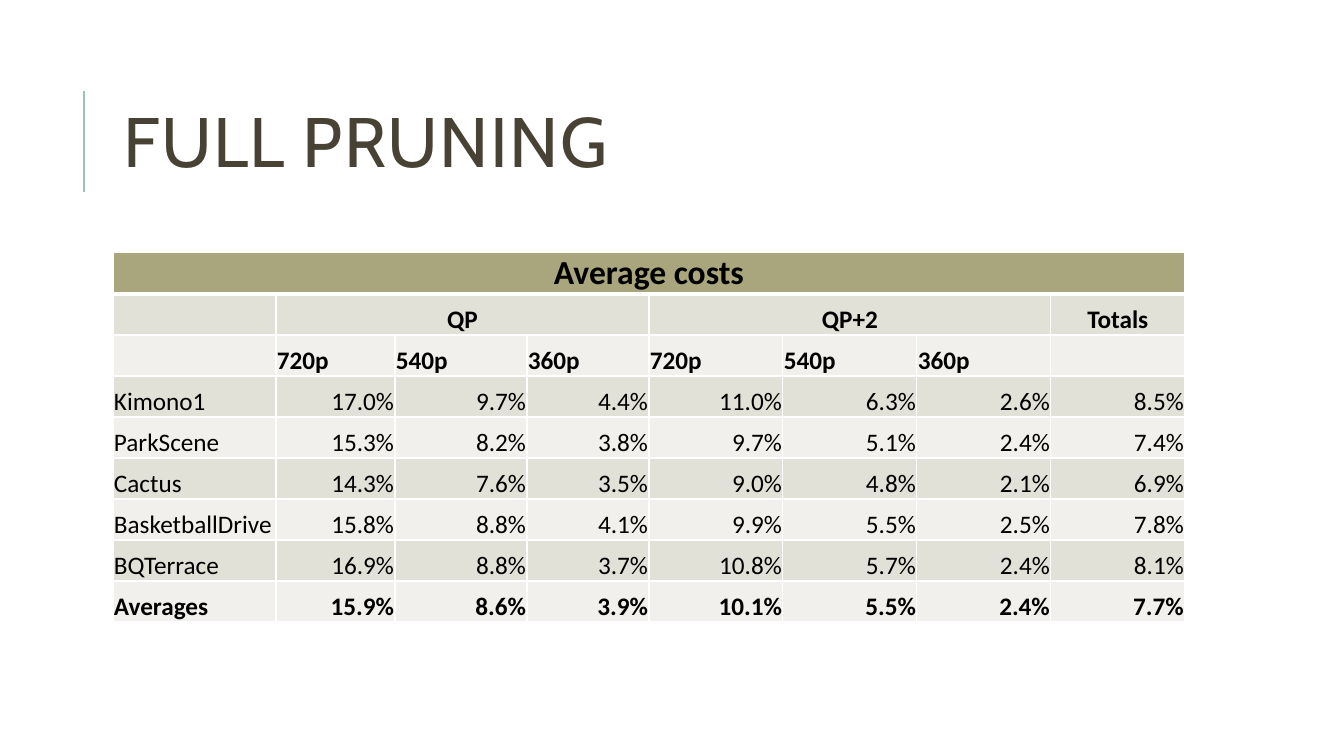
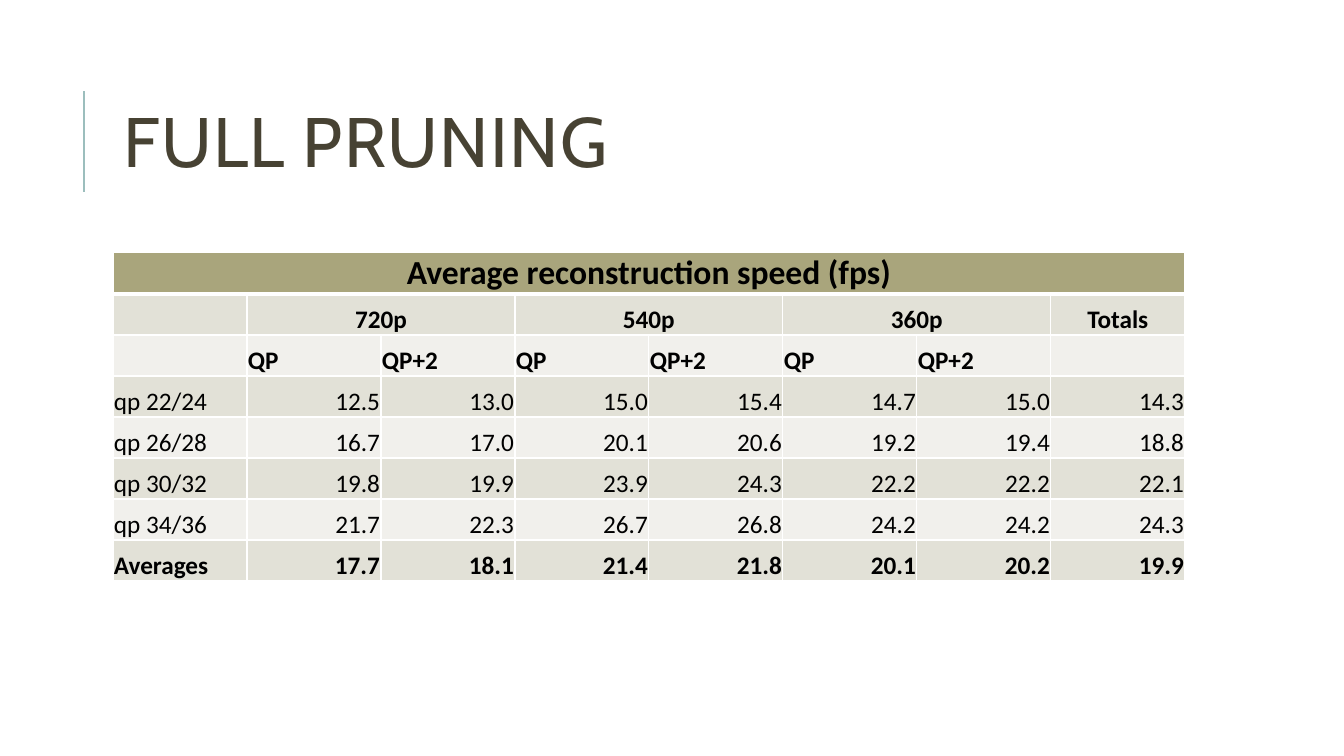
from dataclasses import dataclass

import pptx
import pptx.dml.color
import pptx.enum.shapes
import pptx.enum.text
import pptx.oxml
import pptx.oxml.ns
import pptx.util

ALIGN = pptx.enum.text.PP_ALIGN
ANCHOR = pptx.enum.text.MSO_ANCHOR
EMU_PER_PX = 914400 / 100.8


@dataclass(frozen=True)
class Theme:
    title_color: str = "474233"
    accent: str = "9CBEBD"
    header: str = "A9A57C"
    bands: tuple = ("E2E1D7", "F1F0EC")
    grid: str = "FFFFFF"
    ink: str = "000000"
    title_font: str = "Cabin"
    table_font: str = "Calibri"
    title_size: int = 50
    header_size: int = 24
    cell_size: int = 18


THEME = Theme()
SLIDE_SIZE = (1344, 756)
TITLE_BOX = (113, 65, 1072, 165)
ACCENT_LINE = (84, 192, 84, 91)
TABLE_AT = (113, 252)
ROW_HEIGHT = 41

COSTS = {
    "caption": "Average costs",
    "widths": [163, 119, 132, 122] + [134] * 4,
    "groups": [("", 1), ("QP", 3), ("QP+2", 3), ("Totals", 1)],
    "subheads": ["", *["720p", "540p", "360p"] * 2, ""],
    "unit": "%",
    "rows": [
        ("Kimono1", 17.0, 9.7, 4.4, 11.0, 6.3, 2.6, 8.5),
        ("ParkScene", 15.3, 8.2, 3.8, 9.7, 5.1, 2.4, 7.4),
        ("Cactus", 14.3, 7.6, 3.5, 9.0, 4.8, 2.1, 6.9),
        ("BasketballDrive", 15.8, 8.8, 4.1, 9.9, 5.5, 2.5, 7.8),
        ("BQTerrace", 16.9, 8.8, 3.7, 10.8, 5.7, 2.4, 8.1),
        ("Averages", 15.9, 8.6, 3.9, 10.1, 5.5, 2.4, 7.7),
    ],
}
SPEEDS = {
    "caption": "Average reconstruction speed (fps)",
    "widths": [134] * 8,
    "groups": [("", 1), ("720p", 2), ("540p", 2), ("360p", 2), ("Totals", 1)],
    "subheads": ["", *["QP", "QP+2"] * 3, ""],
    "unit": "",
    "rows": [
        ("qp 22/24", 12.5, 13.0, 15.0, 15.4, 14.7, 15.0, 14.3),
        ("qp 26/28", 16.7, 17.0, 20.1, 20.6, 19.2, 19.4, 18.8),
        ("qp 30/32", 19.8, 19.9, 23.9, 24.3, 22.2, 22.2, 22.1),
        ("qp 34/36", 21.7, 22.3, 26.7, 26.8, 24.2, 24.2, 24.3),
        ("Averages", 17.7, 18.1, 21.4, 21.8, 20.1, 20.2, 19.9),
    ],
}


def px(length):
    return pptx.util.Emu(round(length * EMU_PER_PX))


def rgb(value):
    return pptx.dml.color.RGBColor.from_string(value)


def apply(target, values):
    for name, value in values.items():
        setattr(target, name, value)


def write(para, text, align, color, **font):
    para.alignment = align
    span = para.add_run()
    span.text = text
    apply(span.font, font)
    span.font.color.rgb = rgb(color)
    return span


def prepare_layout(deck):
    """Give the title layout its title box; clear its footer fields."""
    layout = deck.slide_layouts.get_by_name("Title Only")
    for holder in list(layout.placeholders):
        if holder.placeholder_format.type == pptx.enum.shapes.PP_PLACEHOLDER.TITLE:
            apply(holder, dict(zip(("left", "top", "width", "height"), map(px, TITLE_BOX))))
        else:
            layout.shapes.element.remove(holder.element)
    return layout


def add_accent_line(page, layout):
    """Draw the accent line and hand it to the layout, so every slide shows it."""
    line = page.shapes.add_connector(
        pptx.enum.shapes.MSO_CONNECTOR.STRAIGHT, *map(px, ACCENT_LINE))
    line.line.color.rgb = rgb(THEME.accent)
    line.line.width = pptx.util.Pt(1.5)
    line.element.spPr.append(pptx.oxml.parse_xml(
        f'<a:effectLst {pptx.oxml.ns.nsdecls("a")}/>'))
    layout.shapes.element.append(line.element)


def add_title(page, text):
    frame = page.shapes.title.text_frame
    apply(frame, {"vertical_anchor": ANCHOR.MIDDLE, "word_wrap": True,
                  "auto_size": pptx.enum.text.MSO_AUTO_SIZE.NONE})
    para = frame.paragraphs[0]
    para.line_spacing = 0.8
    span = write(para, text, ALIGN.LEFT, THEME.title_color,
                 name=THEME.title_font, size=pptx.util.Pt(THEME.title_size))
    span.font._element.set("spc", "100")


def set_borders(cell, top, bottom):
    """Draw the cell's four edges, widths in points."""
    edges = {"L": 1, "R": 1, "T": top, "B": bottom}
    for index, (side, width) in enumerate(edges.items()):
        cell._tc.get_or_add_tcPr().insert(index, pptx.oxml.parse_xml(
            f'<a:ln{side} {pptx.oxml.ns.nsdecls("a")} w="{pptx.util.Pt(width)}">'
            f'<a:solidFill><a:srgbClr val="{THEME.grid}"/></a:solidFill></a:ln{side}>'))


def table_texts(data):
    """List the table's texts row by row; merged cells follow as blanks."""
    groups = [text for label, span in data["groups"]
              for text in [label] + [""] * (span - 1)]
    values = [[label] + [f"{number:.1f}{data['unit']}" for number in numbers]
              for label, *numbers in data["rows"]]
    caption = [data["caption"]] + [""] * (len(groups) - 1)
    return [caption, groups, data["subheads"], *values]


def cell_align(row, column):
    if row < 2:
        return ALIGN.CENTER
    return ALIGN.LEFT if row == 2 or column == 0 else ALIGN.RIGHT


def add_data_table(page, left, top, data):
    texts = table_texts(data)
    count, widths = len(texts), data["widths"]
    table = page.shapes.add_table(
        count, len(widths), px(left), px(top),
        px(sum(widths)), px(ROW_HEIGHT * count)).table
    apply(table, {"first_row": False, "horz_banding": False})
    for column, width in zip(table.columns, widths):
        column.width = px(width)

    # Caption and group headings span several columns
    table.cell(0, 0).merge(table.cell(0, len(widths) - 1))
    start = 0
    for _, span in data["groups"]:
        if span > 1:
            table.cell(1, start).merge(table.cell(1, start + span - 1))
        start += span

    # Fill, borders and text of every cell
    for row, row_texts in enumerate(texts):
        table.rows[row].height = px(ROW_HEIGHT)
        fill = THEME.bands[(row - 1) % 2] if row else THEME.header
        for column, text in enumerate(row_texts):
            cell = table.cell(row, column)
            apply(cell, {"vertical_anchor": ANCHOR.BOTTOM, "margin_left": px(1),
                         "margin_right": px(1), "margin_top": px(1), "margin_bottom": 0})
            cell.fill.solid()
            cell.fill.fore_color.rgb = rgb(fill)
            set_borders(cell, top=3 if row == 1 else 1, bottom=1 if row else 3)
            if text:
                write(cell.text_frame.paragraphs[0], text, cell_align(row, column),
                      THEME.ink, name=THEME.table_font,
                      size=pptx.util.Pt(THEME.cell_size if row else THEME.header_size),
                      bold=row < 3 or row == count - 1)


def add_table_page(deck, layout, title, data):
    page = deck.slides.add_slide(layout)
    add_title(page, title)
    add_data_table(page, *TABLE_AT, data)
    return page


def main():
    deck = pptx.Presentation()
    deck.slide_width, deck.slide_height = map(px, SLIDE_SIZE)
    layout = prepare_layout(deck)
    pages = [add_table_page(deck, layout, "FULL PRUNING", data) for data in (COSTS, SPEEDS)]
    add_accent_line(pages[0], layout)
    deck.save("out.pptx")


if __name__ == "__main__":
    main()
